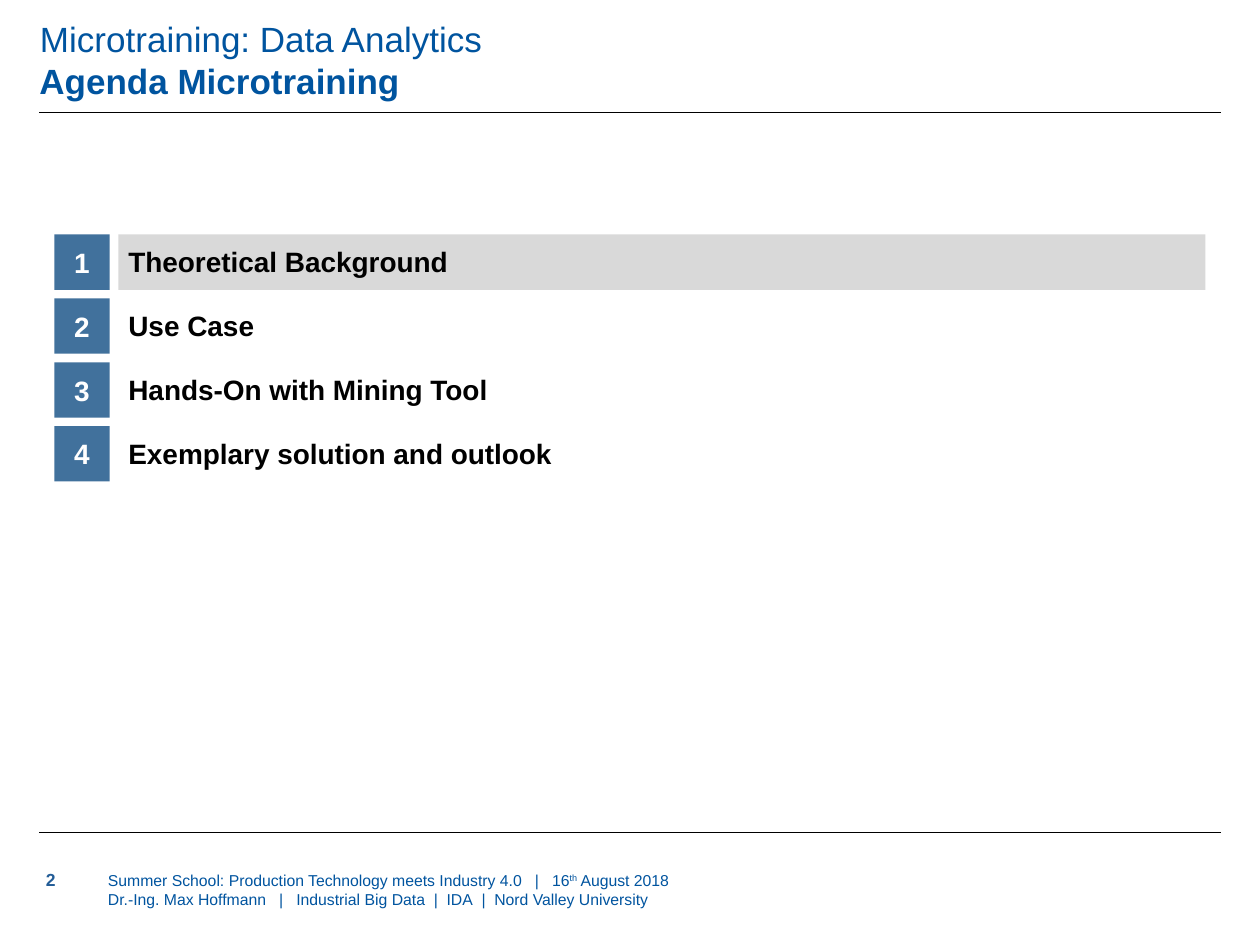
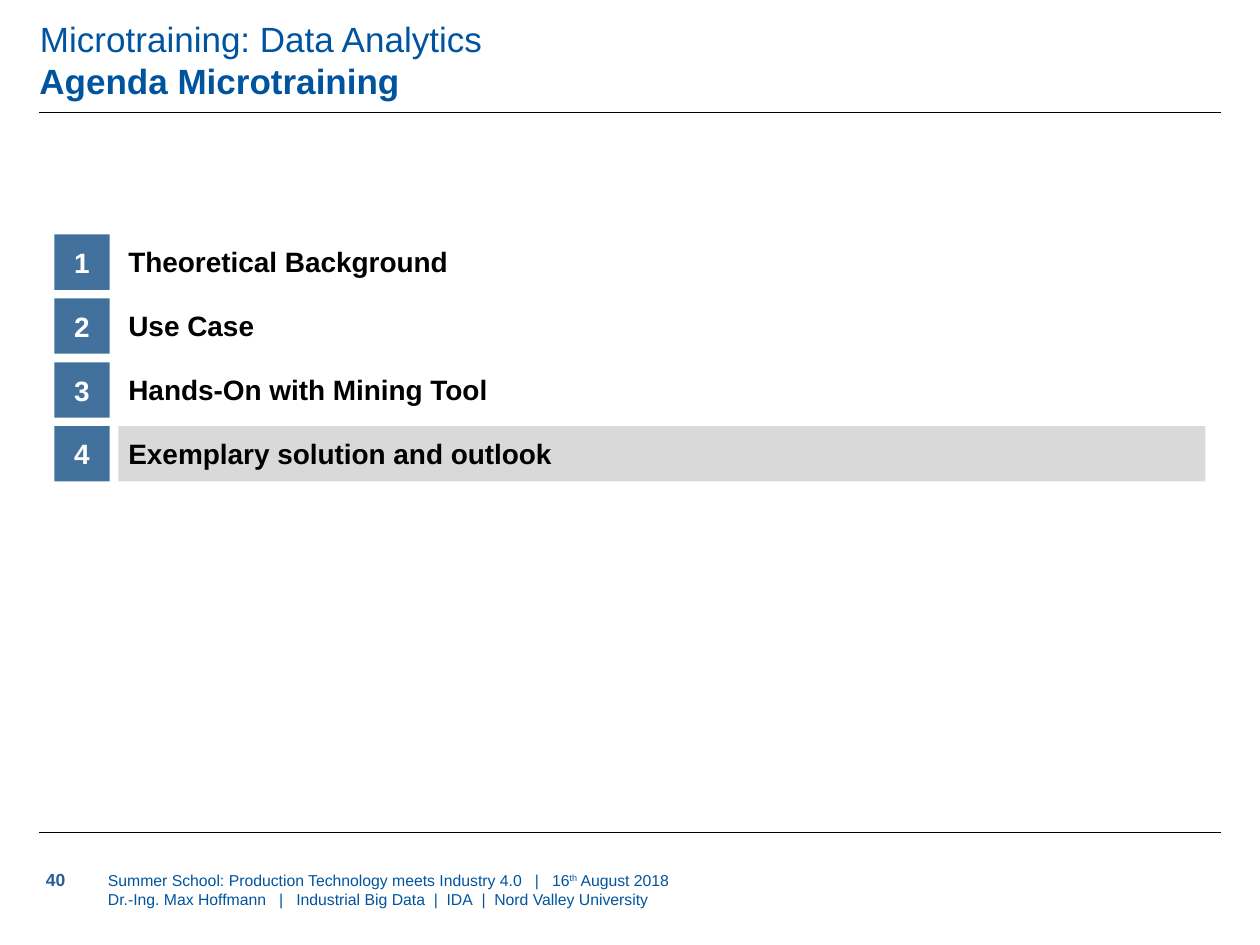
from pptx import Presentation
from pptx.dml.color import RGBColor
from pptx.enum.shapes import MSO_CONNECTOR as Connector, MSO_SHAPE as Shape
from pptx.enum.text import MSO_ANCHOR as Anchor, PP_ALIGN as Align
from pptx.oxml.ns import qn
from pptx.util import Pt
from lxml.etree import SubElement

COLORS = {
    "title": "00549F",
    "page": "235D97",
    "tile": "41719C",
    "highlight": "D9D9D9",
    "text": "000000",
    "tile_text": "FFFFFF",
}
FONT = "Arial"
SLIDE_WIDTH, SLIDE_HEIGHT = 720, 540
RULE_LEFT, RULE_RIGHT = 22.5, 697.5
RULE_TOPS = (64.2, 475.8)
AGENDA = (
    "Theoretical Background",
    "Use Case",
    "Hands-On with Mining Tool",
    "Exemplary solution and outlook",
)
TILE_LEFT, ENTRY_LEFT, AGENDA_TOP = 31, 67.6, 134
TILE_SIZE, ROW_PITCH = 31.6, 36.5
ENTRY_WIDTH, HIGHLIGHT_WIDTH = 339, 621.2
WIDE_GAP, NARROW_GAP = 5, 2.5
INSET = 5.76


def color(name):
    return RGBColor.from_string(COLORS[name])


def add_run(paragraph, text, size, color_name, bold=False, spacing=0, baseline=0):
    run = paragraph.add_run()
    run.text = text
    run.font.name = FONT
    run.font.size = Pt(size)
    run.font.bold = bold
    run.font.color.rgb = color(color_name)
    properties = run._r.get_or_add_rPr()
    if spacing:
        properties.set("spc", str(round(spacing * 100)))
    if baseline:
        properties.set("baseline", str(baseline * 1000))


def set_frame(shape, insets, anchor=Anchor.TOP):
    frame = shape.text_frame
    frame.word_wrap = True
    frame.vertical_anchor = anchor
    (frame.margin_left, frame.margin_top,
     frame.margin_right, frame.margin_bottom) = map(Pt, insets)
    return frame


def add_text_box(slide, left, top, width, height, insets=(0, 0, 0, 0), anchor=Anchor.TOP):
    box = slide.shapes.add_textbox(Pt(left), Pt(top), Pt(width), Pt(height))
    return set_frame(box, insets, anchor)


def add_rectangle(slide, left, top, width, height, fill):
    shape = slide.shapes.add_shape(Shape.RECTANGLE, Pt(left), Pt(top), Pt(width), Pt(height))
    shape.shadow.inherit = False
    shape.fill.solid()
    shape.fill.fore_color.rgb = color(fill)
    shape.line.fill.background()
    return shape


def add_rule(slide, top):
    rule = slide.shapes.add_connector(
        Connector.STRAIGHT, Pt(RULE_LEFT), Pt(top), Pt(RULE_RIGHT), Pt(top))
    rule.line.color.rgb = color("text")
    rule.line.width = Pt(0.5)
    SubElement(rule._element.spPr, qn("a:effectLst"))


def add_title_line(frame, text, bold):
    paragraph = frame.paragraphs[0]
    paragraph.line_spacing = 0.9
    add_run(paragraph, text, 20, "title", bold)


def add_header(slide, topic, title):
    title_frame = add_text_box(slide, RULE_LEFT, 15.8, 675, 42.5, anchor=Anchor.BOTTOM)
    add_title_line(title_frame, title, True)
    topic_frame = add_text_box(slide, 15.8, 9.4, 492.5, 28.8, (7.2, 3.6, 7.2, 3.6))
    add_title_line(topic_frame, topic, False)


def add_separator(paragraph, gap):
    add_run(paragraph, " ", 9, "title", spacing=gap)
    add_run(paragraph, "|", 9, "title")
    add_run(paragraph, " ", 9, "title", spacing=gap)


def add_footer(slide, page):
    frame = add_text_box(slide, 61.7, 497.3, 348.5, 23)
    event = frame.paragraphs[0]
    add_run(event, "Summer School: Production Technology meets Industry 4.0", 9, "title")
    add_separator(event, WIDE_GAP)
    add_run(event, "16", 9, "title")
    add_run(event, "th", 9, "title", baseline=30)
    add_run(event, " August 2018", 9, "title")

    speaker = frame.add_paragraph()
    add_run(speaker, "Dr.-Ing. Max Hoffmann", 9, "title")
    for gap, text in ((WIDE_GAP, "Industrial Big Data"), (NARROW_GAP, "IDA"),
                      (NARROW_GAP, "Nord Valley University")):
        add_separator(speaker, gap)
        add_run(speaker, text, 9, "title")

    page_frame = add_text_box(slide, 19.2, 492.8, 35.3, 19.4, (7.2, 3.6, 7.2, 3.6))
    add_run(page_frame.paragraphs[0], str(page), 10, "page", True)


def add_agenda_row(slide, number, entry, highlighted):
    top = AGENDA_TOP + (number - 1) * ROW_PITCH
    if highlighted:
        add_rectangle(slide, ENTRY_LEFT, top, HIGHLIGHT_WIDTH, TILE_SIZE, "highlight")
    frame = add_text_box(slide, ENTRY_LEFT, top, ENTRY_WIDTH, TILE_SIZE,
                         (INSET, INSET, 0, INSET))
    add_run(frame.paragraphs[0], entry, 16, "text", True)

    tile = add_rectangle(slide, TILE_LEFT, top, TILE_SIZE, TILE_SIZE, "tile")
    paragraph = set_frame(tile, (INSET,) * 4, Anchor.MIDDLE).paragraphs[0]
    paragraph.alignment = Align.CENTER
    add_run(paragraph, str(number), 16, "tile_text", True)


def add_agenda_slide(presentation, page, current):
    slide = presentation.slides.add_slide(presentation.slide_layouts[6])
    for top in RULE_TOPS:
        add_rule(slide, top)
    add_footer(slide, page)
    add_header(slide, "Microtraining: Data Analytics", "Agenda Microtraining")
    for number, entry in enumerate(AGENDA, 1):
        add_agenda_row(slide, number, entry, number == current)


def main():
    presentation = Presentation()
    presentation.slide_width = Pt(SLIDE_WIDTH)
    presentation.slide_height = Pt(SLIDE_HEIGHT)
    for page, current in ((2, 1), (40, 4)):
        add_agenda_slide(presentation, page, current)
    presentation.save("out.pptx")


if __name__ == "__main__":
    main()
